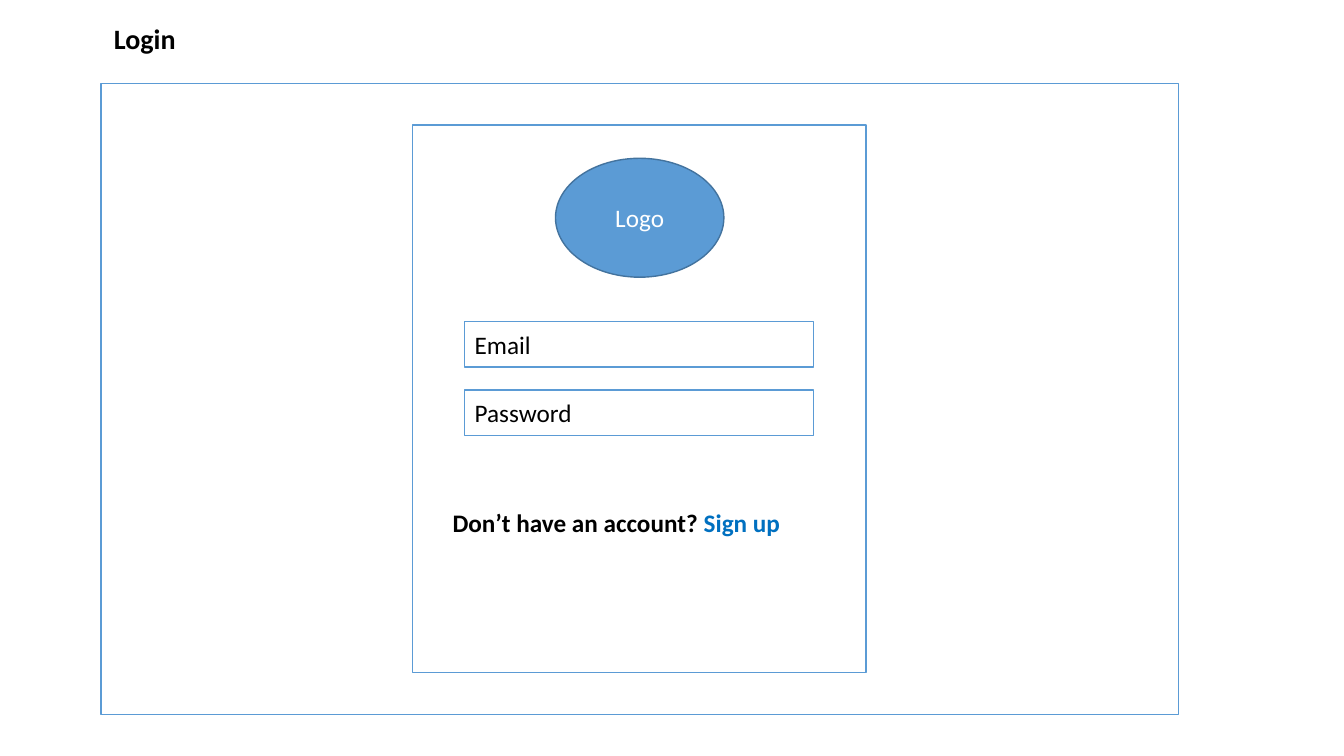
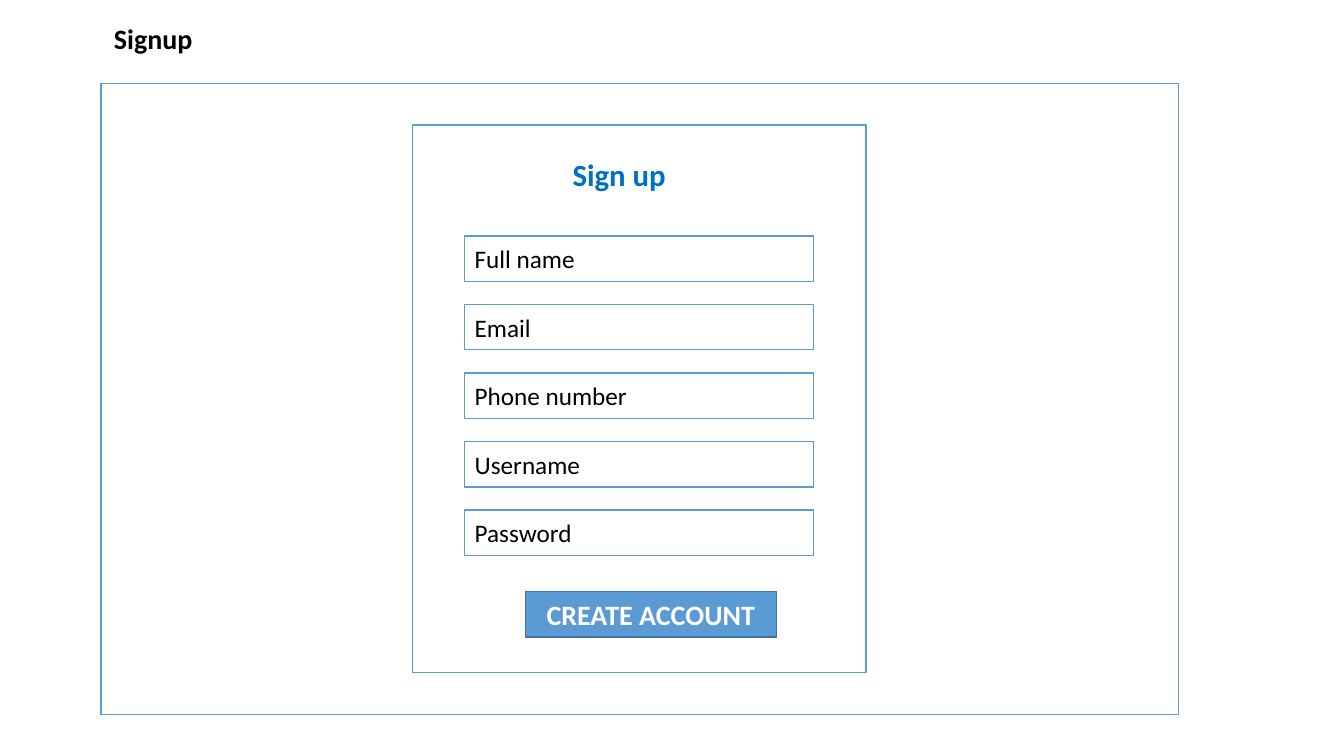
from pptx import Presentation
from pptx.dml.color import RGBColor
from pptx.enum.shapes import MSO_SHAPE as SHAPE
from pptx.enum.text import MSO_ANCHOR as ANCHOR, MSO_AUTO_SIZE as AUTO_SIZE, PP_ALIGN as ALIGN
from pptx.util import Inches, Pt

# Content
LOGIN = {
    "title": "Login",
    "fields": ["Email", "Password"],
    "fields_top": 3.19,
    "logo": "Logo",
    "prompt": [("Don’t have an account? ", "black"), ("Sign up", "link")],
}
SIGNUP = {
    "title": "Signup",
    "fields": ["Full name", "Email", "Phone number", "Username", "Password"],
    "fields_top": 2.34,
    "heading": [("Sign up", "link")],
    "button": "CREATE ACCOUNT",
}

# Shared look
COLORS = {
    "accent": "5B9BD5",
    "accent_dark": "43739E",
    "link": "0070C0",
    "white": "FFFFFF",
    "black": "000000",
}
FONT = "Calibri"

# Shared layout: left, top, width, height
TITLE_BOX = (1.03, 0.16, 2.78, 0.44)
SCREEN_BOX = (1, 0.83, 10.69, 6.26)
CARD_BOX = (4.09, 1.24, 4.5, 5.43)
LOGO_BOX = (5.51, 1.57, 1.67, 1.18)
PROMPT_BOX = (4.39, 4.98, 4.08, 0.4)
HEADING_BOX = (5.58, 1.5, 1.75, 0.47)
BUTTON_BOX = (5.21, 5.87, 2.49, 0.45)
FIELD_LEFT, FIELD_WIDTH, FIELD_HEIGHT = 4.61, 3.46, 0.45
FIELD_PITCH = 0.68


def color(name):
    return RGBColor.from_string(COLORS[name])


def set_font(font, size, color_name, bold=False):
    font.name, font.size, font.bold = FONT, Pt(size), bold
    font.color.rgb = color(color_name)


def add_panel(slide, box, fill=None, line="accent", outline=SHAPE.RECTANGLE):
    panel = slide.shapes.add_shape(outline, *map(Inches, box))
    panel.shadow.inherit = False
    if fill:
        panel.fill.solid()
        panel.fill.fore_color.rgb = color(fill)
    else:
        panel.fill.background()
    panel.line.color.rgb = color(line)
    panel.line.width = Pt(1)
    return panel


def add_label(panel, text, size, color_name, bold=False, align=ALIGN.CENTER):
    panel.text_frame.vertical_anchor = ANCHOR.MIDDLE
    paragraph = panel.text_frame.paragraphs[0]
    paragraph.text, paragraph.alignment = text, align
    set_font(paragraph.font, size, color_name, bold)


def add_bold_text(slide, box, parts, size):
    frame = slide.shapes.add_textbox(*map(Inches, box)).text_frame
    frame.word_wrap = True
    for text, color_name in parts:
        run = frame.paragraphs[0].add_run()
        run.text = text
        set_font(run.font, size, color_name, bold=True)


def add_title(slide, text):
    title = slide.shapes.title
    title.left, title.top, title.width, title.height = map(Inches, TITLE_BOX)
    add_label(title, text, 20, "black", bold=True, align=ALIGN.LEFT)
    title.text_frame.vertical_anchor = ANCHOR.TOP
    title.text_frame.auto_size = AUTO_SIZE.NONE


def add_form_slide(prs, form):
    """Add a screen frame with a centred card that holds the input fields."""
    slide = prs.slides.add_slide(prs.slide_layouts[5])
    add_title(slide, form["title"])
    add_panel(slide, SCREEN_BOX)
    add_panel(slide, CARD_BOX, "white")
    for row, label in enumerate(form["fields"]):
        top = form["fields_top"] + row * FIELD_PITCH
        field = add_panel(slide, (FIELD_LEFT, top, FIELD_WIDTH, FIELD_HEIGHT), "white")
        add_label(field, label, 18, "black", align=ALIGN.LEFT)
    return slide


prs = Presentation()
prs.slide_width, prs.slide_height = Inches(13.33), Inches(7.5)

# Login
login = add_form_slide(prs, LOGIN)
logo = add_panel(login, LOGO_BOX, "accent", "accent_dark", SHAPE.OVAL)
add_label(logo, LOGIN["logo"], 18, "white")
add_bold_text(login, PROMPT_BOX, LOGIN["prompt"], 18)

# Signup
signup = add_form_slide(prs, SIGNUP)
add_bold_text(signup, HEADING_BOX, SIGNUP["heading"], 22)
button = add_panel(signup, BUTTON_BOX, "accent", "accent_dark")
add_label(button, SIGNUP["button"], 20, "white", bold=True)

prs.save("out.pptx")
